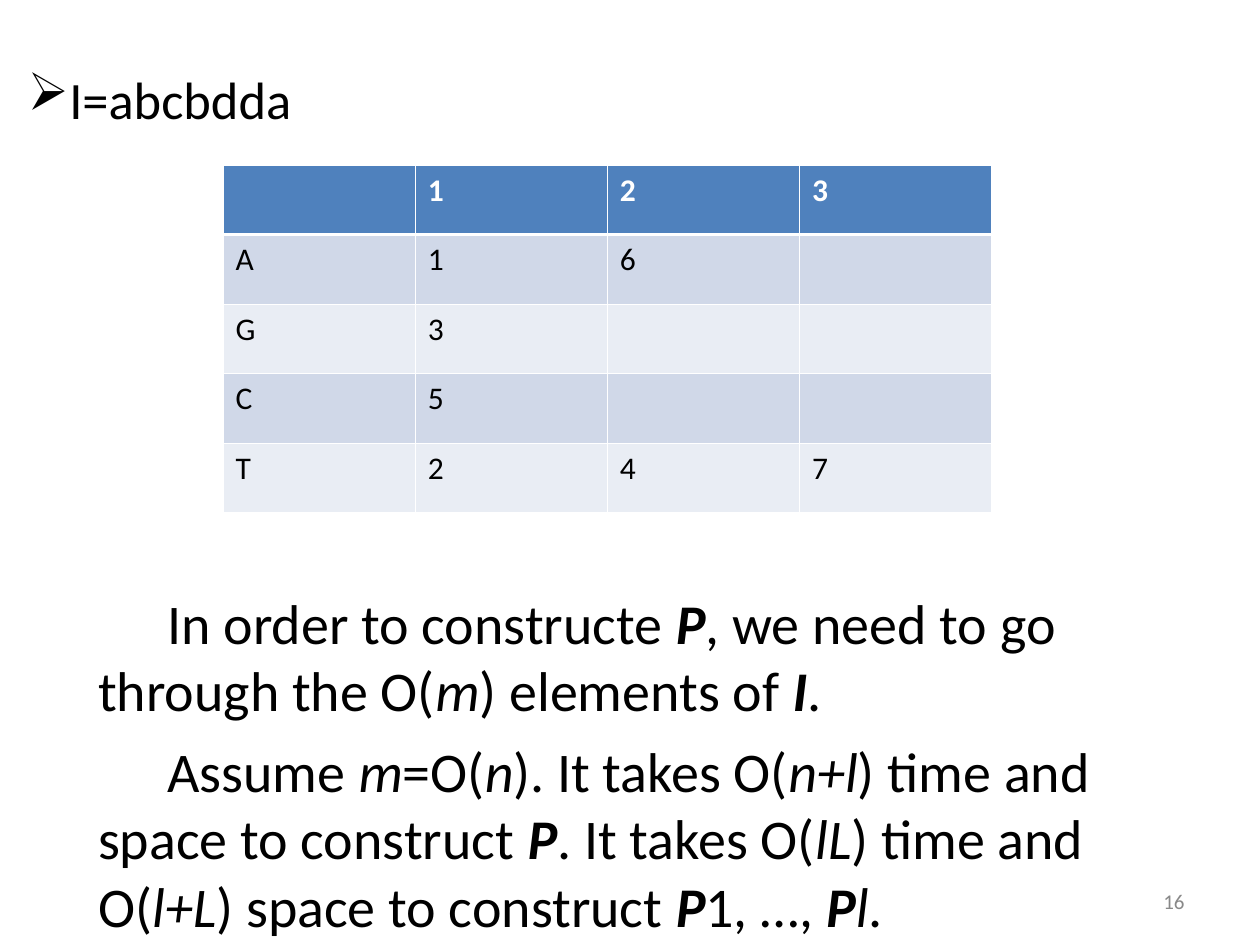
from lxml import etree
from pptx import Presentation
from pptx.dml.color import RGBColor
from pptx.enum.text import MSO_ANCHOR, PP_ALIGN
from pptx.oxml.ns import qn
from pptx.util import Inches, Pt

MIDDLE, TOP = MSO_ANCHOR.MIDDLE, MSO_ANCHOR.TOP
RIGHT = PP_ALIGN.RIGHT
BLANK_LAYOUT = 6
FONT = "Calibri"
BLACK, WHITE, GREY = "000000", "FFFFFF", "898989"
HEADER_FILL, BAND_FILLS = "4F81BD", ("D0D8E8", "E9EDF4")
THIN, THICK = 0.45, 1.47

OCCURRENCES = [
    ["", "1", "2", "3"],
    ["A", "1", "6", ""],
    ["G", "3", "", ""],
    ["C", "5", "", ""],
    ["T", "2", "4", "7"],
]
ANALYSIS = [
    [("In order to constructe ", ""), ("Ρ", "bi"),
     (", we need to go through the O(", ""), ("m", "i"),
     (") elements of ", ""), ("I", "bi"), (".", "")],
    [("Assume ", ""), ("m", "i"), ("=O(", ""), ("n", "i"),
     ("). It takes O(", ""), ("n+l", "i"),
     (") time and space to construct ", ""), ("Ρ", "bi"),
     (". It takes O(", ""), ("lL", "i"), (") time and O(", ""),
     ("l+L", "i"), (") space to construct ", ""), ("P", "bi"),
     ("1, …, ", ""), ("P", "bi"), ("l", "i"), (".", "")],
]


def color(value):
    """Turn a hex string into a colour."""
    return RGBColor.from_string(value)


def apply_format(target, values):
    """Set every attribute named in a dict of format values."""
    for name, value in values.items():
        setattr(target, name, value)


def add_run(paragraph, text, size, text_color=BLACK, style=""):
    """Append a run; style holds b for bold and i for italic."""
    run = paragraph.add_run()
    run.text = text
    apply_format(run.font, {"name": FONT, "size": Pt(size),
                            "bold": "b" in style, "italic": "i" in style})
    run.font.color.rgb = color(text_color)


def add_text_frame(slide, left, top, width, height, anchor=TOP):
    """Add a wrapping text box and return its text frame."""
    box = slide.shapes.add_textbox(Inches(left), Inches(top), Inches(width), Inches(height))
    apply_format(box.text_frame, {"word_wrap": True, "vertical_anchor": anchor})
    return box.text_frame


def set_indent(paragraph, margin, first_line):
    """Set the left margin and first-line indent of a paragraph."""
    properties = paragraph._p.get_or_add_pPr()
    properties.set("marL", str(Inches(margin)))
    properties.set("indent", str(Inches(first_line)))
    return properties


def add_bullet_line(slide, text):
    """Add the line with the arrow bullet above the table."""
    paragraph = add_text_frame(slide, 0.12, 0.48, 9.41, 4.1).paragraphs[0]
    properties = set_indent(paragraph, 0.32, -0.32)
    bullet_color = etree.SubElement(properties, qn("a:buClr"))
    etree.SubElement(bullet_color, qn("a:srgbClr"), val=BLACK)
    etree.SubElement(properties, qn("a:buChar"), char="➢")
    add_run(paragraph, text, 30)


def add_analysis(slide):
    """Add the indented paragraphs on time and space."""
    frame = add_text_frame(slide, 0.68, 4.62, 8.82, 2.88)
    for index, runs in enumerate(ANALYSIS):
        paragraph = frame.add_paragraph() if index else frame.paragraphs[0]
        set_indent(paragraph, 0, 0.55)
        if index:
            paragraph.space_before = Pt(8)
        for text, style in runs:
            add_run(paragraph, text, 32, style=style)


def set_borders(cell, widths):
    """Draw white cell borders from a dict of side and width."""
    properties = cell._tc.get_or_add_tcPr()
    for side, width in widths.items():
        line = etree.SubElement(properties, qn(f"a:ln{side}"), w=str(Pt(width)))
        fill = etree.SubElement(line, qn("a:solidFill"))
        etree.SubElement(fill, qn("a:srgbClr"), val=WHITE)


def add_occurrence_table(slide):
    """Add the table of symbol positions."""
    row_count, column_count = len(OCCURRENCES), len(OCCURRENCES[0])
    table = slide.shapes.add_table(row_count, column_count, Inches(1.77), Inches(1.31),
                                   Inches(6.1), Inches(2.76)).table
    for row, entries in enumerate(OCCURRENCES):
        header = row == 0
        widths = {"L": THIN, "R": THIN, "T": THICK if row == 1 else THIN,
                  "B": THICK if header else THIN}
        for column, entry in enumerate(entries):
            cell = table.cell(row, column)
            set_borders(cell, widths)
            cell.fill.solid()
            cell.fill.fore_color.rgb = color(HEADER_FILL if header else BAND_FILLS[(row - 1) % 2])
            if entry:
                add_run(cell.text_frame.paragraphs[0], entry, 18,
                        WHITE if header else BLACK, "b" if header else "")


def add_page_number(slide, number):
    """Add the page number at the lower right."""
    paragraph = add_text_frame(slide, 7.17, 6.95, 2.33, 0.4, MIDDLE).paragraphs[0]
    paragraph.alignment = RIGHT
    add_run(paragraph, number, 12, GREY)


def main():
    """Build and save the slide."""
    presentation = Presentation()
    apply_format(presentation, {"slide_width": Inches(10), "slide_height": Inches(7.5)})
    slide = presentation.slides.add_slide(presentation.slide_layouts[BLANK_LAYOUT])
    add_analysis(slide)
    add_bullet_line(slide, "I=abcbdda")
    add_page_number(slide, "16")
    add_occurrence_table(slide)
    presentation.save("out.pptx")


if __name__ == "__main__":
    main()
